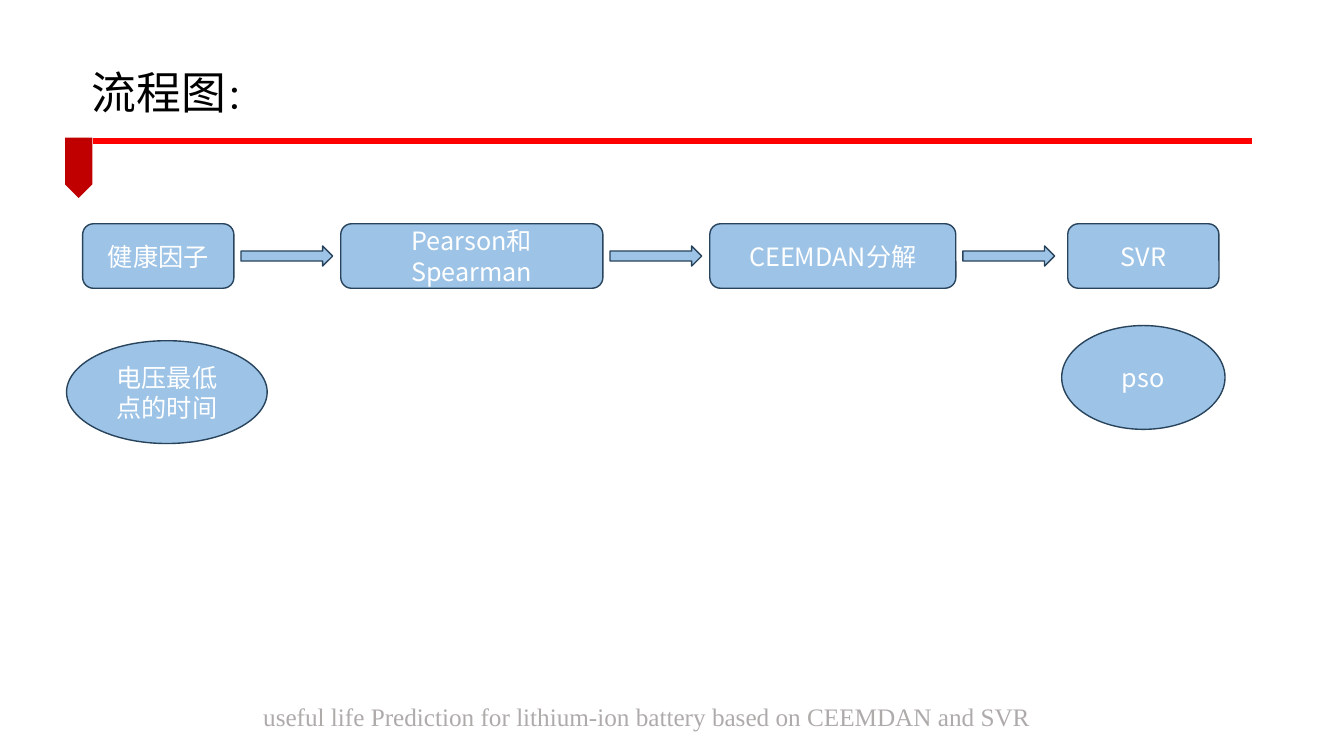
from pptx import Presentation
from pptx.dml.color import RGBColor
from pptx.enum.shapes import MSO_CONNECTOR, MSO_SHAPE
from pptx.enum.text import MSO_ANCHOR, MSO_AUTO_SIZE, PP_ALIGN
from pptx.oxml.ns import qn
from pptx.util import Inches, Pt
from lxml import etree

LEFT, CENTER = PP_ALIGN.LEFT, PP_ALIGN.CENTER
TOP, MIDDLE = MSO_ANCHOR.TOP, MSO_ANCHOR.MIDDLE
ROUNDED, ELLIPSE = MSO_SHAPE.ROUNDED_RECTANGLE, MSO_SHAPE.OVAL
ARROW, PENTAGON = MSO_SHAPE.RIGHT_ARROW, MSO_SHAPE.PENTAGON
SANS, SERIF = "Noto Sans CJK SC", "Times New Roman"
COLORS = {"rule": "FF0000", "bookmark": "C00000", "node": "9DC3E6", "outline": "28445D",
          "title": "000000", "footer": "AFABAB", "label": "FFFFFF"}

# Content: steps are (label, left, width), details are (label, left, top, width, height)
TITLE = [("流程图", 32, SERIF), ("：", 24, SANS)]
FOOTER = "useful life Prediction for lithium-ion battery based on CEEMDAN and SVR"
STEPS = [
    ("健康因子", 0.82, 1.5),
    ("Pearson和Spearman", 3.38, 2.6),
    ("CEEMDAN分解", 7.04, 2.44),
    ("SVR", 10.59, 1.5),
]
DETAILS = [
    ("电压最低点的时间", 0.66, 3.38, 1.99, 1.02),
    ("pso", 10.53, 3.23, 1.62, 1.03),
]
STEP_TOP, STEP_HEIGHT = 2.22, 0.64
ARROW_GAP, ARROW_WIDTH, ARROW_HEIGHT = 0.07, 0.91, 0.2


def write_text(shape, runs, color, align=CENTER, anchor=MIDDLE):
    """Fill a shape with one paragraph of (text, size, font) runs."""
    frame = shape.text_frame
    frame.word_wrap = True
    frame.auto_size = MSO_AUTO_SIZE.NONE
    frame.vertical_anchor = anchor
    paragraph = frame.paragraphs[0]
    paragraph.alignment = align
    for text, size, font_name in runs:
        run = paragraph.add_run()
        run.text = text
        run.font.size = Pt(size)
        run.font.name = font_name
        run.font.color.rgb = RGBColor.from_string(COLORS[color])
        east_asian = etree.SubElement(run.font._element, qn("a:ea"))
        east_asian.set("typeface", SANS)


def add_block(slide, kind, left, top, width, height, fill="node", outline="outline"):
    shape = slide.shapes.add_shape(kind, Inches(left), Inches(top), Inches(width), Inches(height))
    shape.shadow.inherit = False
    shape.fill.solid()
    shape.fill.fore_color.rgb = RGBColor.from_string(COLORS[fill])
    if outline:
        shape.line.color.rgb = RGBColor.from_string(COLORS[outline])
        shape.line.width = Pt(1)
    else:
        shape.line.fill.background()
    return shape


def main():
    presentation = Presentation()
    presentation.slide_width, presentation.slide_height = Inches(13.33), Inches(7.5)
    slide = presentation.slides.add_slide(presentation.slide_layouts[5])

    # Title with red rule and bookmark
    title = slide.shapes.title
    title.left, title.top, title.width, title.height = map(Inches, (0.81, 0.59, 10.43, 0.64))
    write_text(title, TITLE, "title", align=LEFT, anchor=TOP)
    rule = slide.shapes.add_connector(
        MSO_CONNECTOR.STRAIGHT, Inches(0.92), Inches(1.4), Inches(12.42), Inches(1.4))
    rule.line.color.rgb = RGBColor.from_string(COLORS["rule"])
    rule.line.width = Pt(4.5)
    etree.SubElement(rule._element.spPr, qn("a:effectLst"))
    bookmark = add_block(slide, PENTAGON, 0.48, 1.53, 0.6, 0.27, fill="bookmark", outline=None)
    bookmark.rotation = 90

    # Footer
    footer = slide.shapes.add_textbox(Inches(0.17), Inches(6.91), Inches(12.49), Inches(0.4))
    write_text(footer, [(FOOTER, 18, SERIF)], "footer", anchor=TOP)

    # Process steps, with an arrow after each but the last
    arrow_top = STEP_TOP + (STEP_HEIGHT - ARROW_HEIGHT) / 2
    for index, (label, left, width) in enumerate(STEPS):
        step = add_block(slide, ROUNDED, left, STEP_TOP, width, STEP_HEIGHT)
        write_text(step, [(label, 18, SANS)], "label")
        if index < len(STEPS) - 1:
            add_block(slide, ARROW, left + width + ARROW_GAP, arrow_top, ARROW_WIDTH, ARROW_HEIGHT)

    # Details below the first and last steps
    for label, *box in DETAILS:
        detail = add_block(slide, ELLIPSE, *box)
        write_text(detail, [(label, 18, SANS)], "label")

    presentation.save("out.pptx")


if __name__ == "__main__":
    main()
